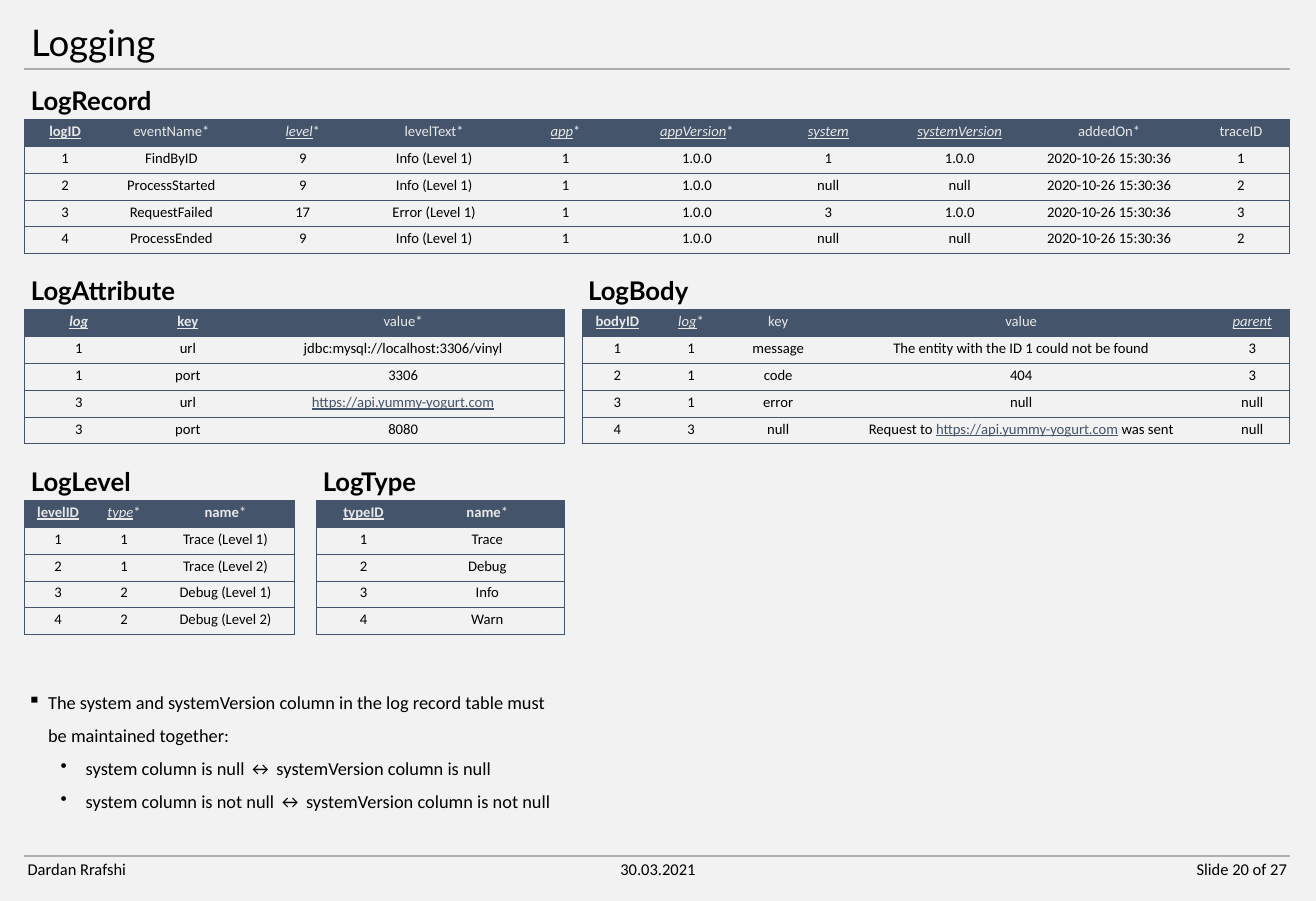
import pptx
import pptx.dml.color
import pptx.enum.shapes
import pptx.enum.text
import pptx.oxml
import pptx.oxml.ns
import pptx.util
from pptx.util import Inches

COLORS = {"ground": "F2F2F2", "slate": "44546A", "header": "E8E8E8",
          "ink": "000000", "rule": "AEAEAE"}
API = ("https://api.yummy-yogurt.com", "link")
TIME = "2020-10-26 15:30:36"

# Each table: heading, heading width, left, top, column widths, header, rows.
# A header cell is (name, style letters, plain suffix).
TABLES = [
    ("LogRecord", 2.13, 0.37, 1.81,
     [1.23] + [1.99] * 7 + [2.54, 1.45],
     [("logID", "bu", ""), ("eventName", "", "*"), ("level", "iu", "*"),
      ("levelText", "", "*"), ("app", "iu", "*"), ("appVersion", "iu", "*"),
      ("system", "iu", ""), ("systemVersion", "iu", ""),
      ("addedOn", "", "*"), ("traceID", "", "")],
     [("1", "FindByID", "9", "Info (Level 1)", "1", "1.0.0", "1", "1.0.0", TIME, "1"),
      ("2", "ProcessStarted", "9", "Info (Level 1)", "1", "1.0.0", "null", "null", TIME, "2"),
      ("3", "RequestFailed", "17", "Error (Level 1)", "1", "1.0.0", "3", "1.0.0", TIME, "3"),
      ("4", "ProcessEnded", "9", "Info (Level 1)", "1", "1.0.0", "null", "null", TIME, "2")]),
    ("LogAttribute", 2.82, 0.37, 4.69, [1.65, 1.65, 4.87],
     [("log", "biu", ""), ("key", "bu", ""), ("value", "", "*")],
     [("1", "url", "jdbc:mysql://localhost:3306/vinyl"),
      ("1", "port", "3306"),
      ("3", "url", [API]),
      ("3", "port", "8080")]),
    ("LogBody", 1.73, 8.81, 4.69, [1.08, 1.15, 1.49, 5.87, 1.13],
     [("bodyID", "bu", ""), ("log", "iu", "*"), ("key", "", ""),
      ("value", "", ""), ("parent", "iu", "")],
     [("1", "1", "message", "The entity with the ID 1 could not be found", "3"),
      ("2", "1", "code", "404", "3"),
      ("3", "1", "error", "null", "null"),
      ("4", "3", "null", [("Request to ", ""), API, (" was sent", "")], "null")]),
    ("LogLevel", 1.83, 0.37, 7.58, [1.02, 0.98, 2.09],
     [("levelID", "bu", ""), ("type", "iu", "*"), ("name", "b", "*")],
     [("1", "1", "Trace (Level 1)"), ("2", "1", "Trace (Level 2)"),
      ("3", "2", "Debug (Level 1)"), ("4", "2", "Debug (Level 2)")]),
    ("LogType", 1.71, 4.79, 7.58, [1.43, 2.32],
     [("typeID", "bu", ""), ("name", "b", "*")],
     [("1", "Trace"), ("2", "Debug"), ("3", "Info"), ("4", "Warn")]),
]
# Each note: level, bullet, indent, hanging part, text.
NOTES = [
    (0, "▪", 0.31, 0.31, "The system and systemVersion column in the log record "
                         "table must be maintained together:"),
    (1, "•", 0.88, 0.38, "system column is null ↔ systemVersion column is null"),
    (1, "•", 0.88, 0.38, "system column is not null ↔ systemVersion column is not null"),
]
ALIGN = pptx.enum.text.PP_ALIGN
FOOTER = [(0.32, "Dardan Rrafshi", ALIGN.LEFT), (9.08, "30.03.2021", ALIGN.CENTER),
          (17.82, "Slide 20 of 27", ALIGN.RIGHT)]
LEFT, WIDTH = 0.37, 19.16
TABLE_HEIGHT, HEADING_HEIGHT = 2.03, 0.57
RULES = [1.04, 12.97]
NO_STYLE = "{2D5ABB26-0587-4C30-8999-92F81FD0307C}"


def rgb(name):
    return pptx.dml.color.RGBColor.from_string(COLORS[name])


def add_span(para, text, size, font="Calibri", color="ink", style=""):
    span = para.add_run()
    span.text = text
    span.font.name, span.font.size = font, pptx.util.Pt(size)
    span.font.color.rgb = rgb(color)
    span.font.bold, span.font.italic = "b" in style, "i" in style
    span.font.underline = "u" in style


def add_box(page, left, top, width, height, wrap=True):
    box = page.shapes.add_textbox(Inches(left), Inches(top), Inches(width), Inches(height))
    box.text_frame.word_wrap = wrap
    return box.text_frame


def add_border(cell, side):
    cell._tc.get_or_add_tcPr().append(pptx.oxml.parse_xml(
        f'<a:ln{side} {pptx.oxml.ns.nsdecls("a")} w="6350"><a:solidFill>'
        f'<a:srgbClr val="{COLORS["slate"]}"/></a:solidFill></a:ln{side}>'))


def add_log_table(page, heading, heading_width, left, top, widths, header, rows):
    frame = add_box(page, left, top - HEADING_HEIGHT, heading_width, HEADING_HEIGHT, False)
    add_span(frame.paragraphs[0], heading, 28, "Lato", style="b")

    row_count = len(rows) + 1
    table = page.shapes.add_table(row_count, len(widths), Inches(left), Inches(top),
                                  Inches(sum(widths)), Inches(TABLE_HEIGHT)).table
    table.horz_banding = False
    for style_id in table._tbl.iter("{*}tableStyleId"):
        style_id.text = NO_STYLE
    for column, width in zip(table.columns, widths):
        column.width = Inches(width)

    for r, row in enumerate([header] + rows):
        for c, value in enumerate(row):
            cell = table.cell(r, c)
            sides = [("L", c == 0), ("R", c == len(widths) - 1), ("T", True), ("B", True)]
            for side, shown in sides:
                if shown:
                    add_border(cell, side)
            para = cell.text_frame.paragraphs[0]
            para.alignment = ALIGN.CENTER
            if r == 0:
                cell.fill.solid()
                cell.fill.fore_color.rgb = rgb("slate")
                name, style, suffix = value
                add_span(para, name, 16, color="header", style=style)
                if suffix:
                    add_span(para, suffix, 16, color="header")
                continue
            cell.fill.background()
            for text, kind in [(value, "")] if isinstance(value, str) else value:
                link = kind == "link"
                add_span(para, text, 16, color="slate" if link else "ink",
                         style="u" if link else "")


def main():
    deck = pptx.Presentation()
    deck.slide_width, deck.slide_height = Inches(19.93), Inches(13.65)
    page = deck.slides.add_slide(deck.slide_layouts[5])
    page.background.fill.solid()
    page.background.fill.fore_color.rgb = rgb("ground")

    # Title
    title = page.shapes.title
    title.left, title.top = Inches(LEFT), Inches(0.32)
    title.width, title.height = Inches(WIDTH), Inches(0.72)
    title.text_frame.vertical_anchor = pptx.enum.text.MSO_ANCHOR.MIDDLE
    para = title.text_frame.paragraphs[0]
    para.alignment, para.line_spacing = ALIGN.LEFT, 0.9
    add_span(para, "Logging", 40, "Lato")

    # Tables with their headings
    for table in TABLES:
        add_log_table(page, *table)

    # Rules under the title and above the footer
    for y in RULES:
        rule = page.shapes.add_connector(pptx.enum.shapes.MSO_CONNECTOR.STRAIGHT, Inches(LEFT),
                                         Inches(y), Inches(LEFT + WIDTH), Inches(y))
        rule.line.color.rgb, rule.line.width = rgb("rule"), pptx.util.Pt(2.25)
        rule._element.spPr.append(
            pptx.oxml.parse_xml(f'<a:effectLst {pptx.oxml.ns.nsdecls("a")}/>'))

    # Footer
    for left, text, alignment in FOOTER:
        para = add_box(page, left, RULES[1], 1.77, 0.4).paragraphs[0]
        para.alignment = alignment
        add_span(para, text, 18)

    # Notes on the system columns
    frame = add_box(page, 0.32, 10.25, 8.22, 2.07)
    for i, (level, bullet, indent, hanging, text) in enumerate(NOTES):
        para = frame.add_paragraph() if i else frame.paragraphs[0]
        para.level, para.line_spacing = level, 1.5
        props = para._p.get_or_add_pPr()
        props.set("marL", str(Inches(indent)))
        props.set("indent", str(-Inches(hanging)))
        props.append(pptx.oxml.parse_xml(
            f'<a:buChar {pptx.oxml.ns.nsdecls("a")} char="{bullet}"/>'))
        add_span(para, text, 20)

    deck.save("out.pptx")


if __name__ == "__main__":
    main()
